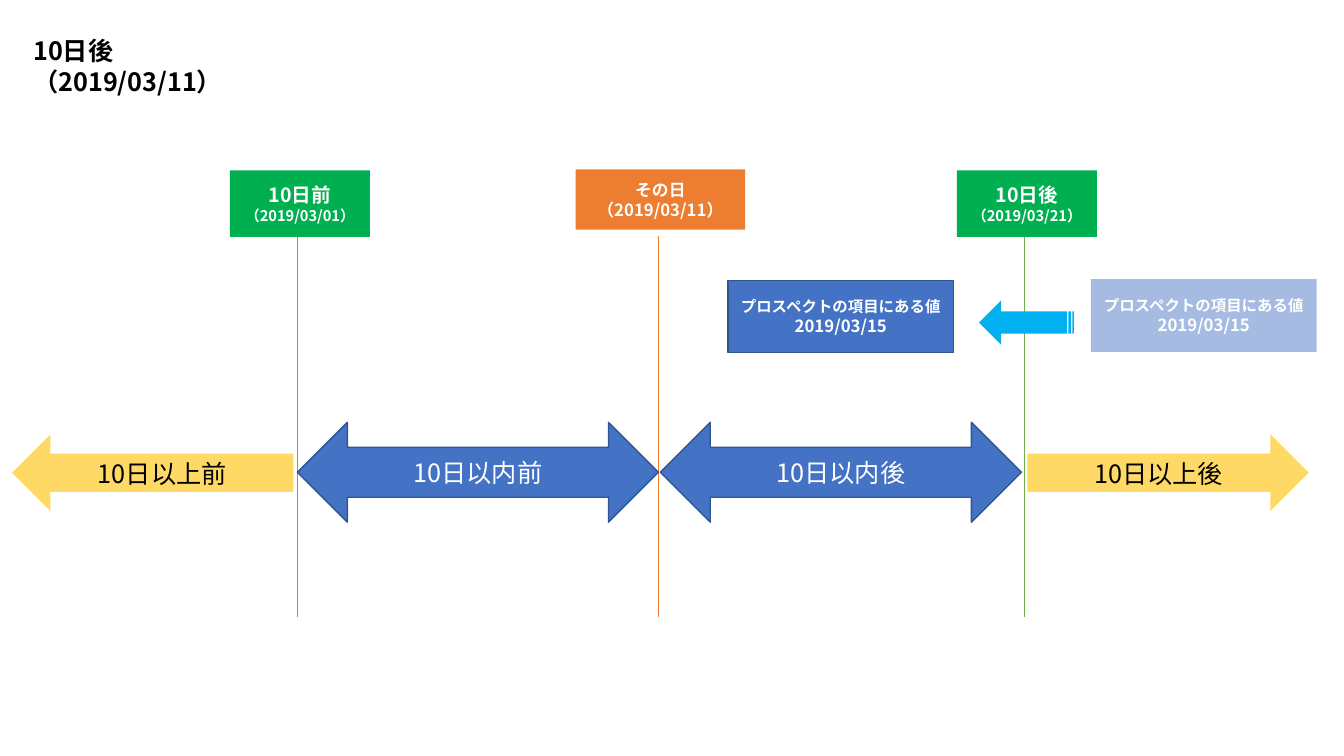
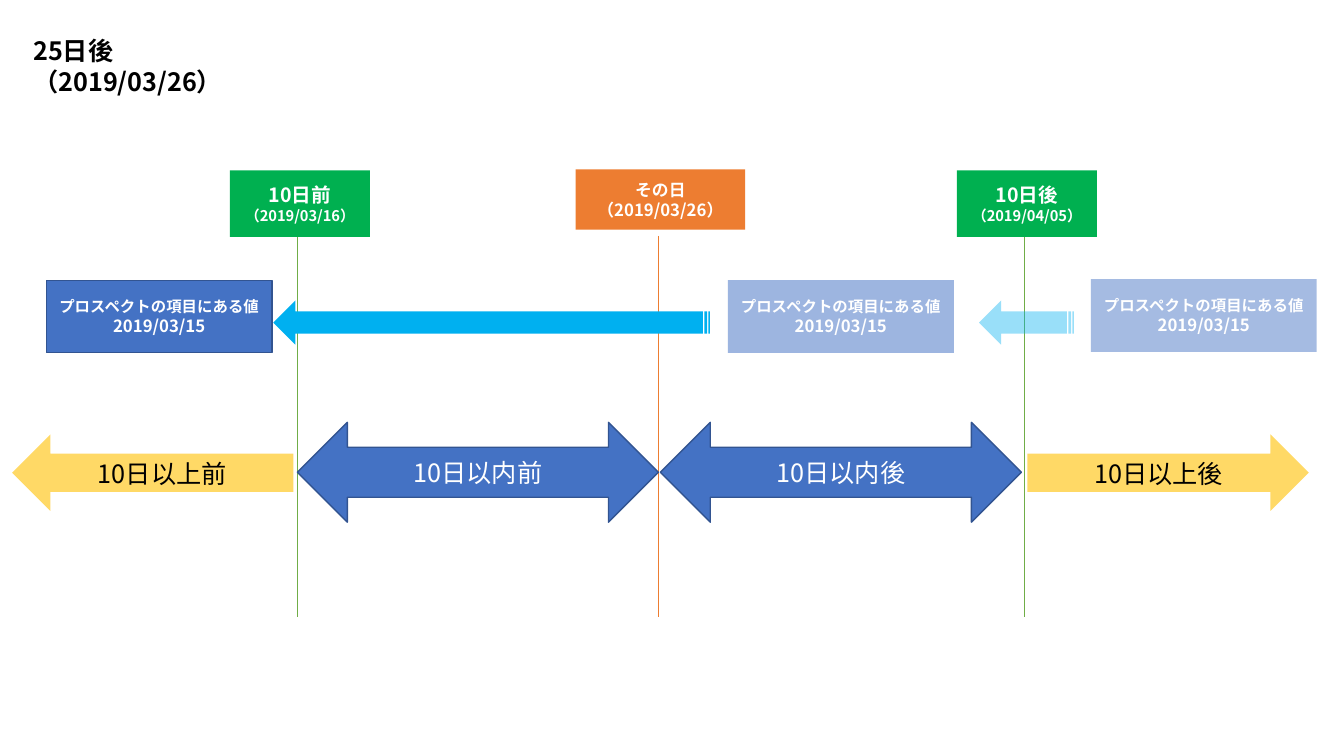
from lxml import etree
from pptx import Presentation
from pptx.dml.color import RGBColor
from pptx.enum.shapes import MSO_CONNECTOR, MSO_SHAPE
from pptx.enum.text import MSO_ANCHOR, PP_ALIGN
from pptx.oxml.ns import qn
from pptx.util import Inches, Pt

FONT = "Noto Sans CJK JP"
LINE_HEIGHT = 1.23
WHITE, BLACK = "FFFFFF", "000000"
BLUE, NAVY, SKY = "4472C4", "325491", "00B0F0"
GREEN, LEAF, ORANGE, YELLOW = "00B050", "70AD47", "ED7D31", "FFD966"

VALUE_LINES = [("プロスペクトの項目にある値", 11), ("2019/03/15", 12)]

# Value boxes: left, top, opacity in percent. Moves: left, width, opacity.
SLIDES = [
    {
        "title": ["10日後", "（2019/03/11）"],
        "dates": ["（2019/03/01）", "（2019/03/11）", "（2019/03/21）"],
        "values": [(7.22, 2.78, 100), (10.82, 2.77, 48)],
        "moves": [(9.71, 0.94, 100)],
    },
    {
        "title": ["25日後", "（2019/03/26）"],
        "dates": ["（2019/03/16）", "（2019/03/26）", "（2019/04/05）"],
        "values": [(7.22, 2.78, 52), (10.82, 2.77, 48), (0.46, 2.78, 100)],
        "moves": [(9.71, 0.94, 40), (2.71, 4.33, 100)],
    },
]

# Marker line: x, colour
MARKERS = [(6.53, ORANGE), (2.95, LEAF), (10.16, LEAF)]
# Marker label: text, place, fill, label size, date size
LABELS = [
    ("10日前", (2.28, 1.69, 1.39, 0.66), GREEN, 14, 10.5),
    ("その日", (5.71, 1.68, 1.68, 0.6), ORANGE, 12, 12),
    ("10日後", (9.49, 1.69, 1.39, 0.66), GREEN, 14, 10.5),
]
# Period arrow: text, preset, place, fill, outline, text colour
PERIODS = [
    ("10日以内前", MSO_SHAPE.LEFT_RIGHT_ARROW, (2.95, 4.19, 3.58, 0.99), BLUE, NAVY, WHITE),
    ("10日以内後", MSO_SHAPE.LEFT_RIGHT_ARROW, (6.55, 4.19, 3.58, 0.99), BLUE, NAVY, WHITE),
    ("10日以上前", MSO_SHAPE.LEFT_ARROW, (0.12, 4.31, 2.79, 0.76), YELLOW, None, BLACK),
    ("10日以上後", MSO_SHAPE.RIGHT_ARROW, (10.19, 4.31, 2.79, 0.76), YELLOW, None, BLACK),
]


def rgb(code):
    return RGBColor.from_string(code)


def write_text(frame, lines, color=WHITE, bold=False, align=PP_ALIGN.CENTER,
               anchor=MSO_ANCHOR.MIDDLE):
    """Write (text, size) pairs, one paragraph each."""
    frame.word_wrap = True
    frame.vertical_anchor = anchor
    for index, (text, size) in enumerate(lines):
        para = frame.add_paragraph() if index else frame.paragraphs[0]
        para.alignment = align
        para.line_spacing = Pt(size * LINE_HEIGHT)
        span = para.add_run()
        span.text = text
        font = span.font
        font.size, font.bold, font.name = Pt(size), bold, FONT
        font.color.rgb = rgb(color)
        east_asian = etree.SubElement(span.font._element, qn("a:ea"))
        east_asian.set("typeface", FONT)


def add_block(page, preset, place, fill, outline=None, opacity=100):
    block = page.shapes.add_shape(preset, *map(Inches, place))
    block.shadow.inherit = False
    block.fill.solid()
    block.fill.fore_color.rgb = rgb(fill)
    if opacity < 100:
        color = block.element.spPr.find(f"{qn('a:solidFill')}/{qn('a:srgbClr')}")
        etree.SubElement(color, qn("a:alpha")).set("val", str(opacity * 1000))
    if outline:
        block.line.color.rgb = rgb(outline)
        block.line.width = Pt(1)
    else:
        block.line.fill.background()
    return block


def add_title(page, lines):
    title = page.shapes.title
    title.left, title.top = Inches(0.23), Inches(0.29)
    title.width, title.height = Inches(2.92), Inches(0.72)
    write_text(title.text_frame, [(line, 18) for line in lines], color=BLACK,
               bold=True, align=PP_ALIGN.LEFT, anchor=MSO_ANCHOR.TOP)


def add_marker(page, x, color):
    marker = page.shapes.add_connector(
        MSO_CONNECTOR.STRAIGHT, Inches(x), Inches(2.34), Inches(x), Inches(6.12))
    marker.line.color.rgb = rgb(color)
    marker.line.width = Pt(0.5)
    etree.SubElement(marker.element.spPr, qn("a:effectLst"))


def add_timeline(page, dates):
    for x, color in MARKERS:
        add_marker(page, x, color)
    for text, preset, place, fill, outline, color in PERIODS:
        arrow = add_block(page, preset, place, fill, outline)
        write_text(arrow.text_frame, [(text, 18)], color=color)
    for (text, place, fill, size, date_size), date in zip(LABELS, dates):
        label = add_block(page, MSO_SHAPE.RECTANGLE, place, fill)
        write_text(label.text_frame, [(text, size), (date, date_size)], bold=True)


def add_values(page, values, moves):
    for left, top, opacity in values:
        outline = NAVY if opacity == 100 else None
        box = add_block(page, MSO_SHAPE.RECTANGLE, (left, top, 2.24, 0.72),
                        BLUE, outline, opacity)
        write_text(box.text_frame, VALUE_LINES, bold=True)
    for left, width, opacity in moves:
        arrow = add_block(page, MSO_SHAPE.STRIPED_RIGHT_ARROW,
                          (left, 2.98, width, 0.44), SKY, opacity=opacity)
        arrow.rotation = 180


def main():
    deck = Presentation()
    deck.slide_width, deck.slide_height = Inches(13.33), Inches(7.5)
    title_only = deck.slide_layouts[5]
    for content in SLIDES:
        page = deck.slides.add_slide(title_only)
        add_title(page, content["title"])
        add_timeline(page, content["dates"])
        add_values(page, content["values"], content["moves"])
    deck.save("out.pptx")


if __name__ == "__main__":
    main()
